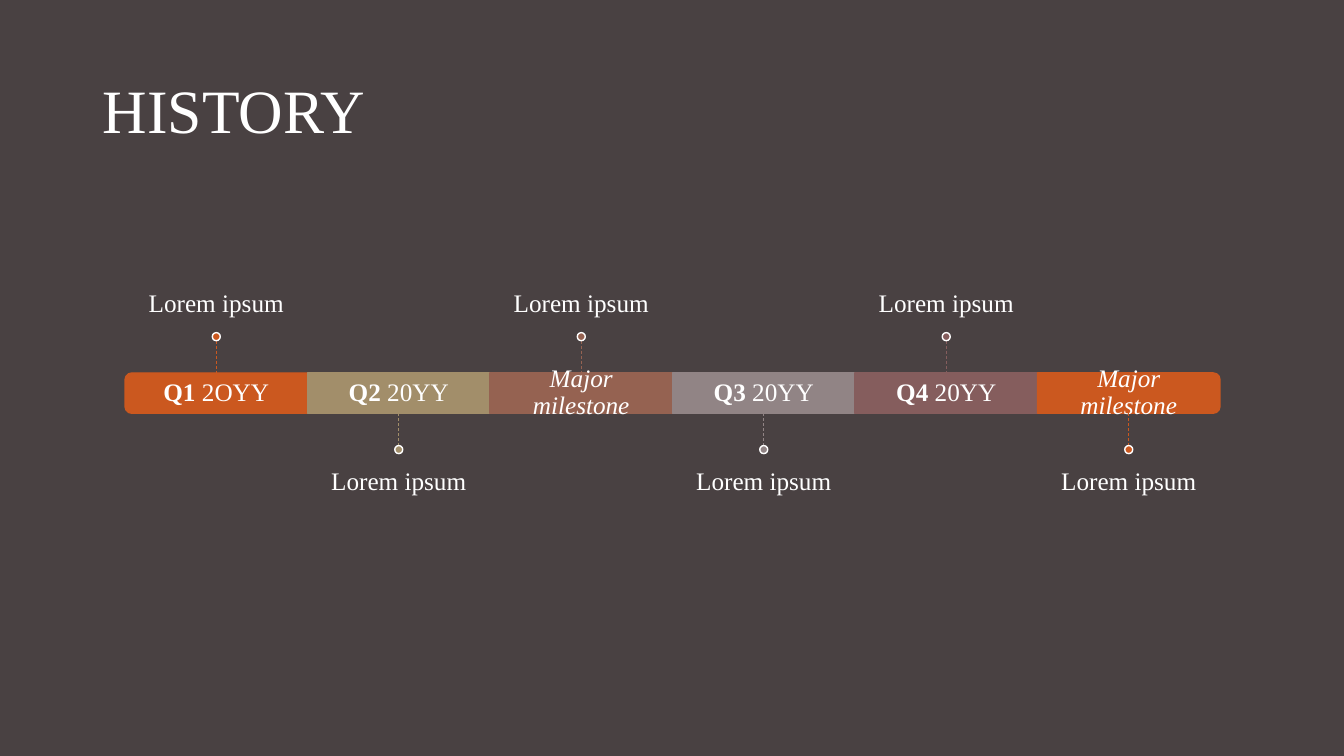
from pptx import Presentation
from pptx.dml.color import RGBColor
from pptx.enum.dml import MSO_LINE
from pptx.enum.shapes import MSO_CONNECTOR, MSO_SHAPE
from pptx.enum.text import MSO_ANCHOR, MSO_AUTO_SIZE, PP_ALIGN
from pptx.oxml.ns import qn
from pptx.util import Pt
from lxml.etree import SubElement

PX = 9144  # EMU per px, 100 px to the inch
FONT = "Times New Roman"

BACKGROUND = RGBColor(0x49, 0x41, 0x42)
WHITE = RGBColor(0xFF, 0xFF, 0xFF)
ORANGE = RGBColor(0xCB, 0x58, 0x1F)
SAND = RGBColor(0xA2, 0x8E, 0x6A)
RUST = RGBColor(0x95, 0x62, 0x51)
GREY = RGBColor(0x91, 0x84, 0x85)
PLUM = RGBColor(0x85, 0x5D, 0x5D)

# Bold part, regular part, italic part, colour
PERIODS = [
    ("Q1 ", "2OYY", "", ORANGE),
    ("Q2 ", "20YY", "", SAND),
    ("", "", "Major milestone", RUST),
    ("Q3 ", "20YY", "", GREY),
    ("Q4 ", "20YY", "", PLUM),
    ("", "", "Major milestone", ORANGE),
]
EVENT = "Lorem ipsum"
STEM, DOT = 32, 8
EVENT_WIDTH, EVENT_HEIGHT = 302, 139
INSET = 15


def emu(*lengths):
    return [round(length * PX) for length in lengths]


def format_paragraph(paragraph, size, align):
    paragraph.alignment = align
    paragraph.line_spacing = 0.9
    paragraph.font.name = FONT
    paragraph.font.size = Pt(size)
    paragraph.font.color.rgb = WHITE


def add_title(slide, box):
    title = slide.shapes.title
    title.left, title.top, title.width, title.height = emu(*box)
    frame = title.text_frame
    frame.text = "HISTORY"
    frame.auto_size = MSO_AUTO_SIZE.NONE
    frame.vertical_anchor = MSO_ANCHOR.MIDDLE
    format_paragraph(frame.paragraphs[0], 44, PP_ALIGN.LEFT)


def add_filled(slide, kind, box, fill, outline):
    shape = slide.shapes.add_shape(kind, *emu(*box))
    shape.shadow.inherit = False
    shape.fill.solid()
    shape.fill.fore_color.rgb = fill
    shape.line.color.rgb = outline
    shape.line.width = Pt(1)
    return shape


def add_label(slide, box, anchor, insets):
    """Add a centred text box and return its paragraph."""
    frame = slide.shapes.add_textbox(*emu(*box)).text_frame
    frame.word_wrap = True
    frame.vertical_anchor = anchor
    (frame.margin_left, frame.margin_top,
     frame.margin_right, frame.margin_bottom) = emu(*insets)
    format_paragraph(frame.paragraphs[0], 18, PP_ALIGN.CENTER)
    return frame.paragraphs[0]


def add_period(slide, box, period, rotation):
    """Add one band segment; a rotation marks an end with rounded corners."""
    bold, regular, italic, color = period
    left, top, width, height = box
    if rotation:
        upright = (left + (width - height) / 2, top + (height - width) / 2, height, width)
        end = add_filled(slide, MSO_SHAPE.ROUND_2_SAME_RECTANGLE, upright, color, color)
        end.rotation = rotation
    else:
        add_filled(slide, MSO_SHAPE.RECTANGLE, box, color, color)

    caption = add_label(slide, box, MSO_ANCHOR.MIDDLE, [INSET] * 4)
    for text in filter(None, (bold, regular, italic)):
        run = caption.add_run()
        run.text = text
        run.font.bold = text == bold
        run.font.italic = text == italic


def add_event(slide, box, above, color):
    """Add the stem, dot and text hanging off a band segment."""
    left, top, width, height = box
    center = left + width / 2
    if above:
        start, end = top - STEM, top
        dot_top = start - DOT
        text_top, anchor, insets = dot_top - EVENT_HEIGHT, MSO_ANCHOR.BOTTOM, (0, 0, 0, INSET)
    else:
        start, end = top + height, top + height + STEM
        dot_top = end
        text_top, anchor, insets = dot_top + DOT, MSO_ANCHOR.TOP, (0, INSET, 0, 0)

    text_box = (center - EVENT_WIDTH / 2, text_top, EVENT_WIDTH, EVENT_HEIGHT)
    add_label(slide, text_box, anchor, insets).add_run().text = EVENT

    stem = slide.shapes.add_connector(MSO_CONNECTOR.STRAIGHT, *emu(center, start, center, end))
    stem.line.color.rgb = color
    stem.line.width = Pt(0.5)
    stem.line.dash_style = MSO_LINE.DASH
    SubElement(stem._element.spPr, qn("a:effectLst"))

    add_filled(slide, MSO_SHAPE.OVAL, (center - DOT / 2, dot_top, DOT, DOT), color, WHITE)


def add_timeline(slide, box):
    left, top, width, height = box
    segment = width / len(PERIODS)
    end_rotations = {0: 270, len(PERIODS) - 1: 90}
    for index, period in enumerate(PERIODS):
        segment_box = (left + index * segment, top, segment, height)
        add_period(slide, segment_box, period, end_rotations.get(index))
        add_event(slide, segment_box, index % 2 == 0, period[-1])


def main():
    presentation = Presentation()
    presentation.slide_width, presentation.slide_height = emu(1333, 750)
    slide = presentation.slides.add_slide(presentation.slide_layouts[5])
    slide.background.fill.solid()
    slide.background.fill.fore_color.rgb = BACKGROUND
    add_title(slide, (92, 40, 1150, 145))
    add_timeline(slide, (124, 370, 1086, 40))
    presentation.save("out.pptx")


if __name__ == "__main__":
    main()
